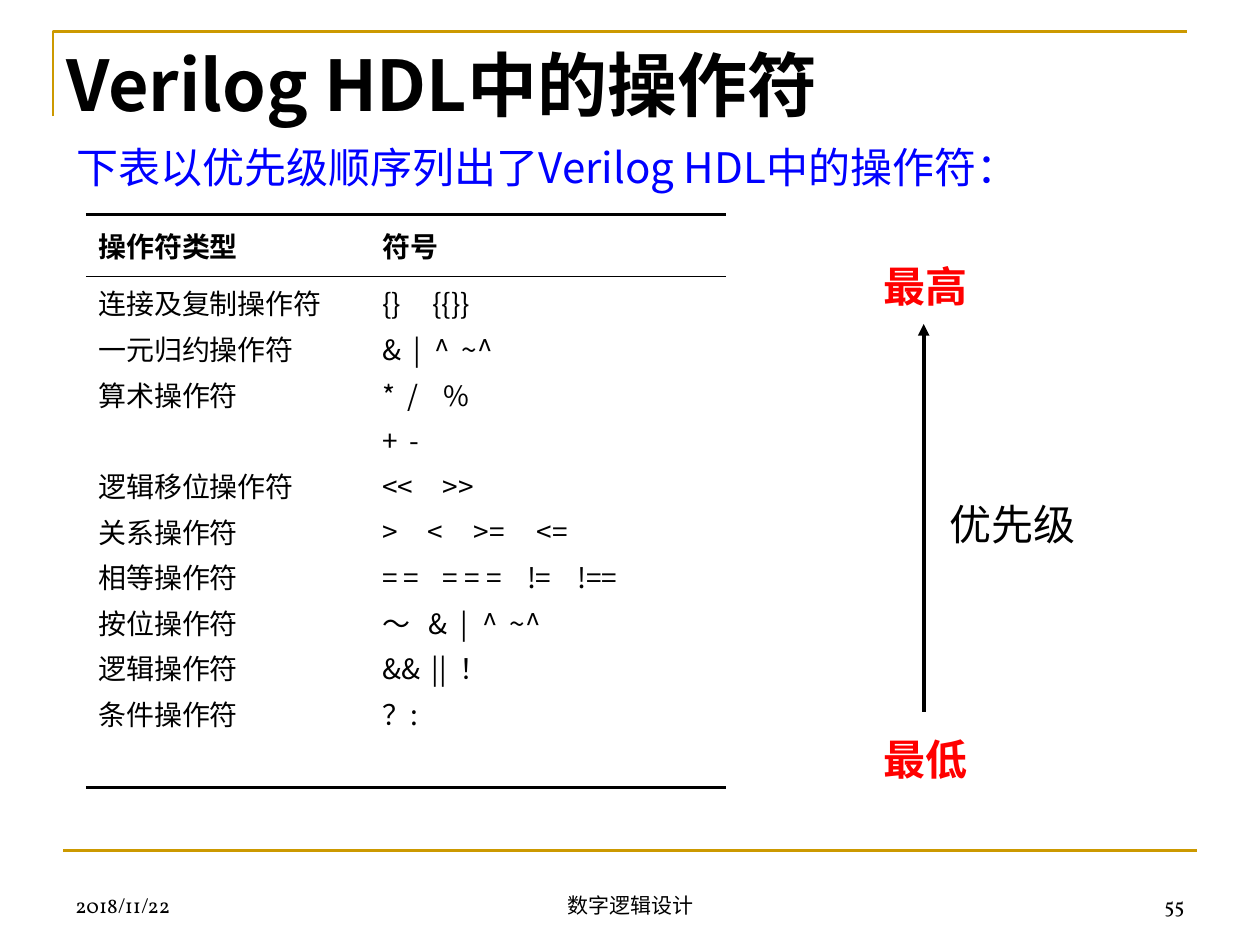
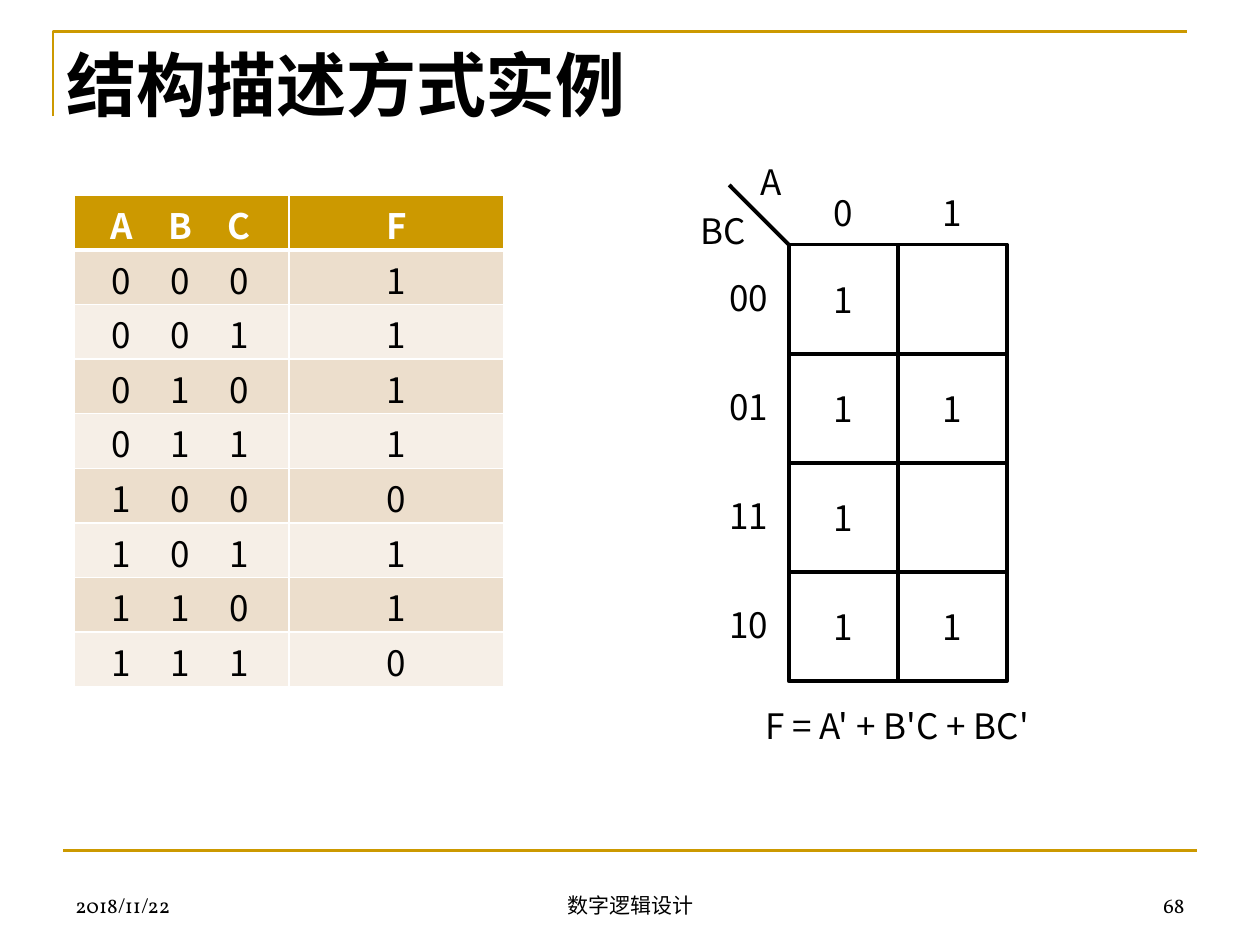
"""Build two lecture slides: Verilog operator precedence and a truth table with its Karnaugh map."""
from lxml import etree
from pptx import Presentation
from pptx.dml.color import RGBColor
from pptx.enum.shapes import MSO_CONNECTOR, MSO_SHAPE
from pptx.enum.text import MSO_ANCHOR, MSO_AUTO_SIZE, PP_ALIGN
from pptx.oxml.ns import qn
from pptx.util import Cm, Pt

LEFT, CENTER, RIGHT = PP_ALIGN.LEFT, PP_ALIGN.CENTER, PP_ALIGN.RIGHT
TOP, MIDDLE, BOTTOM = MSO_ANCHOR.TOP, MSO_ANCHOR.MIDDLE, MSO_ANCHOR.BOTTOM
GROW = MSO_AUTO_SIZE.SHAPE_TO_FIT_TEXT
STRAIGHT, RECTANGLE = MSO_CONNECTOR.STRAIGHT, MSO_SHAPE.RECTANGLE


class Theme:
    """Colours, fonts and text styles of both slides."""
    gold, black, white = "CC9900", "000000", "FFFFFF"
    bands = ("ECDECC", "F6EFE7")
    sans, serif = "Noto Sans CJK SC", "Vollkorn"
    title = {"size": 40, "bold": True, "color": black, "name": sans}
    lead = {"size": 24, "bold": False, "color": "0000FF", "name": sans}
    extreme = {"size": 24, "bold": True, "color": "FF0000", "name": sans}
    axis = {"size": 24, "bold": False, "color": black, "name": sans}
    logic = {"size": 20, "bold": False, "color": black, "name": sans}
    logic_head = {"size": 20, "bold": True, "color": white, "name": sans}
    operator = {"size": 16, "bold": False, "color": black, "name": sans}
    operator_head = {"size": 16, "bold": True, "color": black, "name": sans}
    footer = {"size": 12, "bold": False, "color": black, "name": serif}


DATE, COURSE = "2018/11/22", "数字逻辑设计"

OPERATOR_TITLE = "Verilog HDL中的操作符"
OPERATOR_LEAD = "下表以优先级顺序列出了Verilog HDL中的操作符："
OPERATOR_HEADS = ("操作符类型", "符号")
OPERATORS = [
    ("连接及复制操作符", [("{}\t{{}}", (1.01,))]),
    ("一元归约操作符", [("&\t|\t^\t~^", (0.64, 1.05, 1.6))]),
    ("算术操作符", [("*\t/\t%", (0.52, 1.23)), ("+\t-", (0.55,))]),
    ("逻辑移位操作符", [("<<\t>>", (1.22,))]),
    ("关系操作符", [(">\t<\t>=\t<=", (0.92, 1.85, 3.12))]),
    ("相等操作符", [("= =\t= = =\t!=\t!==", (1.22, 2.92, 3.93))]),
    ("按位操作符", [("～\t&\t|\t^\t~^", (0.94, 1.58, 2.02, 2.57))]),
    ("逻辑操作符", [("&&\t||\t！", (1.0, 1.55))]),
    ("条件操作符", [("？:", ())]),
]
HIGHEST, LOWEST, PRIORITY = "最高", "最低", "优先级"

EXAMPLE_TITLE = "结构描述方式实例"
INPUTS, OUTPUT = "ABC", "F"
OUTPUT_BITS = "11110110"
MAP_COLUMNS, MAP_ROWS = "01", ("00", "01", "11", "10")
MAP_CORNER = ("A", "BC")
FORMULA = "F = A' + B'C + BC'"

LINE_GAP, LINE_PITCH = 3, 26.2
INPUT_STOPS = (0.69, 1.88, 3.07)


def apply(target, values):
    for key, value in values.items():
        setattr(target, key, value)


def write(paragraph, text, style, align=LEFT, before=0, after=0, stops=(), stop_align="l"):
    apply(paragraph, {"alignment": align, "space_before": Pt(before), "space_after": Pt(after)})
    if stops:
        tabs = etree.SubElement(paragraph._p.get_or_add_pPr(), qn("a:tabLst"))
        for stop in stops:
            etree.SubElement(tabs, qn("a:tab"), pos=str(Cm(stop)), algn=stop_align)
    run = paragraph.add_run()
    run.text = text
    apply(run.font, {"size": Pt(style["size"]), "bold": style["bold"], "name": style["name"]})
    run.font.color.rgb = RGBColor.from_string(style["color"])
    etree.SubElement(run.font._element, qn("a:ea"), typeface=style["name"])


def add_text(slide, box, text, style, align=LEFT, anchor=TOP, fit=GROW):
    frame = slide.shapes.add_textbox(*map(Cm, box)).text_frame
    apply(frame, {"word_wrap": True, "vertical_anchor": anchor, "auto_size": fit})
    write(frame.paragraphs[0], text, style, align)


def style_line(line, color, width):
    line.color.rgb = RGBColor.from_string(color)
    line.width = Pt(width)


def add_line(slide, ends, color, width, arrow=False):
    connector = slide.shapes.add_connector(STRAIGHT, *map(Cm, ends))
    style_line(connector.line, color, width)
    properties = connector._element.spPr
    if arrow:
        etree.SubElement(properties.find(qn("a:ln")), qn("a:tailEnd"), type="triangle")
    etree.SubElement(properties, qn("a:effectLst"))


def add_grid(slide, left, top, widths, heights):
    frame = slide.shapes.add_table(len(heights), len(widths), Cm(left), Cm(top),
                                   Cm(sum(widths)), Cm(sum(heights)))
    grid = frame.table
    apply(grid, {"first_row": False, "horz_banding": False})
    for column, width in zip(grid.columns, widths):
        column.width = Cm(width)
    for row, height in zip(grid.rows, heights):
        row.height = Cm(height)
    return grid


def style_cell(cell, borders, fill=None, **layout):
    apply(cell, layout)
    properties = cell._tc.get_or_add_tcPr()
    for side in "LRTB":
        color, width = borders.get(side, (None, 0))
        edge = etree.SubElement(properties, qn("a:ln" + side), w=str(Pt(width)))
        if color:
            etree.SubElement(etree.SubElement(edge, qn("a:solidFill")), qn("a:srgbClr"), val=color)
        else:
            etree.SubElement(edge, qn("a:noFill"))
    if fill:
        cell.fill.solid()
        cell.fill.fore_color.rgb = RGBColor.from_string(fill)
    else:
        cell.fill.background()


def start_slide(deck, title, number):
    slide = deck.slides.add_slide(deck.slide_layouts[6])
    builder = slide.shapes.build_freeform(Cm(1.07), Cm(2.34))
    builder.add_line_segments([(Cm(1.07), Cm(0.64)), (Cm(23.93), Cm(0.64))], close=False)
    bracket = builder.convert_to_shape()
    bracket.shadow.inherit = False
    bracket.fill.background()
    style_line(bracket.line, Theme.gold, 1.5)
    add_line(slide, (1.27, 17.15, 24.13, 17.15), Theme.gold, 1.5)
    for left, width, text, align in ((1.27, 5.92, DATE, LEFT), (8.69, 8.05, COURSE, CENTER),
                                     (18.21, 5.92, number, RIGHT)):
        add_text(slide, (left, 17.35, width, 1.27), text, Theme.footer, align, BOTTOM,
                 MSO_AUTO_SIZE.NONE)
    add_text(slide, (1.09, 0.71, 21.79, 1.96), title, Theme.title)
    return slide


def add_operator_table(slide):
    grid = add_grid(slide, 1.73, 4.32, (5.72, 7.19), (1.25, 10.3))
    thick, thin = (Theme.black, 2.25), (Theme.black, 1)
    kinds, symbols = [], []
    for kind, lines in OPERATORS:
        kinds.append((kind, (), LINE_PITCH * (len(lines) - 1)))
        symbols += [(text, stops, 0) for text, stops in lines]
    for column, (head, entries) in enumerate(zip(OPERATOR_HEADS, (kinds, symbols))):
        head_cell, body_cell = grid.cell(0, column), grid.cell(1, column)
        style_cell(head_cell, {"T": thick, "B": thin}, vertical_anchor=MIDDLE)
        style_cell(body_cell, {"T": thin, "B": thick})
        write(head_cell.text_frame.paragraphs[0], head, Theme.operator_head)
        body = body_cell.text_frame
        for index, (text, stops, after) in enumerate(entries):
            paragraph = body.add_paragraph() if index else body.paragraphs[0]
            write(paragraph, text, Theme.operator, before=LINE_GAP if index else 0,
                  after=after, stops=stops)


def add_truth_table(slide):
    records = [(INPUTS, OUTPUT)]
    records += [(f"{value:03b}", bit) for value, bit in enumerate(OUTPUT_BITS)]
    grid = add_grid(slide, 1.5, 3.94, (4.33, 4.33), [1.1] * len(records))
    for row, (inputs, output) in enumerate(records):
        style = Theme.logic if row else Theme.logic_head
        fill = Theme.bands[(row - 1) % 2] if row else Theme.gold
        borders = dict.fromkeys("LRTB", (Theme.white, 1))
        if row < 2:
            borders["T" if row else "B"] = (Theme.white, 3)
        for column in range(2):
            style_cell(grid.cell(row, column), borders, fill,
                       margin_top=Cm(0.07), margin_bottom=Cm(0))
        write(grid.cell(row, 0).text_frame.paragraphs[0], "\t" + "\t".join(inputs), style,
              stops=INPUT_STOPS, stop_align="ctr")
        write(grid.cell(row, 1).text_frame.paragraphs[0], output, style, CENTER)


def add_karnaugh_map(slide):
    left, top, side, label_width, label_height = 15.9, 4.93, 2.2, 1.6, 1.12
    inset = (side - label_width) / 2
    for row, bc in enumerate(MAP_ROWS):
        y = top + row * side
        for column, a in enumerate(MAP_COLUMNS):
            square = slide.shapes.add_shape(RECTANGLE, Cm(left + column * side), Cm(y),
                                            Cm(side), Cm(side))
            square.shadow.inherit = False
            square.fill.background()
            style_line(square.line, Theme.black, 2.25)
            bit = OUTPUT_BITS[int(a + bc, 2)]
            if bit == "1":
                square.text_frame.vertical_anchor = MIDDLE
                write(square.text_frame.paragraphs[0], bit, Theme.logic, CENTER)
        add_text(slide, (left - label_width, y + 0.51, label_width, label_height),
                 bc, Theme.logic, CENTER)
    for column, a in enumerate(MAP_COLUMNS):
        add_text(slide, (left + column * side + inset, 3.73, label_width, label_height),
                 a, Theme.logic, CENTER)
    add_line(slide, (left, top, left - 1.2, top - 1.2), Theme.black, 2.25)
    across, down = MAP_CORNER
    add_text(slide, (15.09, 3.12, 1.2, label_height), across, Theme.logic)
    add_text(slide, (13.87, 4.09, label_width, label_height), down, Theme.logic)
    add_text(slide, (14.58, 14.07, 7.01, label_height), FORMULA, Theme.logic, CENTER)


def main():
    deck = Presentation()
    apply(deck, {"slide_width": Cm(25.4), "slide_height": Cm(19.05)})

    precedence = start_slide(deck, OPERATOR_TITLE, "55")
    add_text(precedence, (1.3, 2.72, 22.86, 1.27), OPERATOR_LEAD, Theme.lead)
    add_operator_table(precedence)
    for text, top in ((HIGHEST, 5.13), (LOWEST, 14.66)):
        add_text(precedence, (17.48, top, 2.34, 1.27), text, Theme.extreme, CENTER)
    add_line(precedence, (18.62, 14.35, 18.62, 6.53), Theme.black, 2.25, arrow=True)
    add_text(precedence, (18.9, 9.93, 3.4, 1.27), PRIORITY, Theme.axis)

    example = start_slide(deck, EXAMPLE_TITLE, "68")
    add_truth_table(example)
    add_karnaugh_map(example)
    deck.save("out.pptx")


main()
